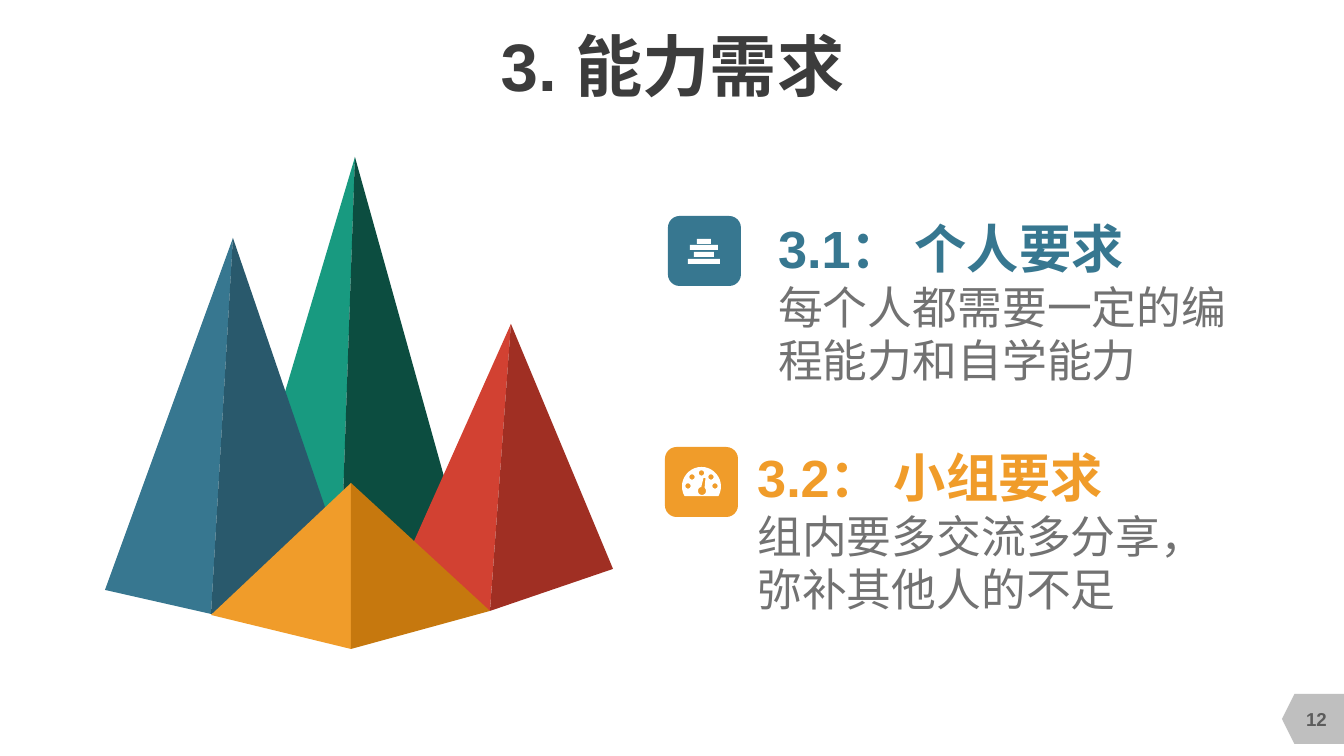
"""Build the ability requirements slide with its four pyramids."""
from dataclasses import dataclass
from math import cos, radians, sin

from pptx import Presentation
from pptx.dml.color import RGBColor
from pptx.enum.shapes import MSO_SHAPE
from pptx.enum.text import MSO_ANCHOR, MSO_AUTO_SIZE, PP_ALIGN
from pptx.util import Emu, Pt

PX = 914400 / 134.4
FINE = 10
FONT = "Arial"
WHITE, GREY, BODY, DARK = "FFFFFF", "BFBFBF", "727272", "3C3C3C"
BLUE, ORANGE = "377790", "F09C2A"
CENTER, LEFT = PP_ALIGN.CENTER, PP_ALIGN.LEFT
MIDDLE = MSO_ANCHOR.MIDDLE
NO_FIT, GROW = MSO_AUTO_SIZE.NONE, MSO_AUTO_SIZE.SHAPE_TO_FIT_TEXT
ROUNDED, TAG = MSO_SHAPE.ROUNDED_RECTANGLE, MSO_SHAPE.FLOWCHART_OFFPAGE_CONNECTOR

Point = tuple[float, float]
Contour = list[Point]


@dataclass
class Pyramid:
    """Two triangular faces that share the edge from peak to foot."""
    peak: Point
    foot: Point
    left: Point
    right: Point
    light: str
    shade: str


@dataclass
class Requirement:
    """A badge with an icon beside a heading and its description."""
    badge: Point
    text_box: tuple[int, int, int, int]
    color: str
    heading: str
    description: str
    icon: list[Contour]


def px(value: float) -> Emu:
    """Turn pixels into EMU."""
    return Emu(round(value * PX))


def rgb(color: str) -> RGBColor:
    """Turn a hex string into a colour."""
    return RGBColor.from_string(color)


def arc(x: float, y: float, radius: float, start: int = 0, end: int = 360) -> Contour:
    """Return points along a circle, angles running clockwise from the right."""
    return [(x + radius * cos(radians(angle)), y + radius * sin(radians(angle)))
            for angle in range(start, end + 1, 10)]


def bar(left: int, top: int, right: int, bottom: int) -> Contour:
    """Return the corners of a bar."""
    return [(left, top), (right, top), (right, bottom), (left, bottom)]


def paint(shape, color: str) -> None:
    """Give a shape a flat fill without line or shadow."""
    shape.fill.solid()
    shape.fill.fore_color.rgb = rgb(color)
    shape.line.fill.background()
    shape.shadow.inherit = False


def draw_outline(shapes, contours: list[Contour], color: str) -> None:
    """Draw closed contours as one freeform."""
    fine = [[(x * FINE, y * FINE) for x, y in contour] for contour in contours]
    builder = shapes.build_freeform(*fine[0][0], scale=PX / FINE)
    builder.add_line_segments(fine[0][1:], close=True)
    for contour in fine[1:]:
        builder.move_to(*contour[0])
        builder.add_line_segments(contour[1:], close=True)
    paint(builder.convert_to_shape(), color)


def draw_pyramid(page, pyramid: Pyramid) -> None:
    """Draw the light and the shaded face as a group."""
    group = page.shapes.add_group_shape()
    for side, color in ((pyramid.left, pyramid.light), (pyramid.right, pyramid.shade)):
        draw_outline(group.shapes, [[pyramid.peak, pyramid.foot, side]], color)


def write(para, text: str, size: int, color: str, bold: bool, align=LEFT) -> None:
    """Fill and format a paragraph."""
    para.text = text
    para.alignment = align
    para.font.name = FONT
    para.font.size = Pt(size)
    para.font.bold = bold
    para.font.color.rgb = rgb(color)


def add_text_box(page, left: int, top: int, width: int, height: int):
    """Add a wrapping text box and return its text frame."""
    frame = page.shapes.add_textbox(px(left), px(top), px(width), px(height)).text_frame
    frame.word_wrap = True
    return frame


def draw_requirement(page, item: Requirement) -> None:
    """Draw the badge, its icon and the text."""
    group = page.shapes.add_group_shape()
    left, top = item.badge
    badge = group.shapes.add_shape(ROUNDED, px(left), px(top), px(73), px(70))
    paint(badge, item.color)
    draw_outline(group.shapes, item.icon, WHITE)
    frame = add_text_box(page, *item.text_box)
    frame.auto_size = GROW
    write(frame.paragraphs[0], item.heading, 28, item.color, True)
    write(frame.add_paragraph(), item.description, 24, BODY, False)


def draw_title(page, text: str) -> None:
    """Place and format the title."""
    title = page.shapes.title
    title.left, title.top, title.width, title.height = px(258), px(39), px(829), px(52)
    frame = title.text_frame
    frame.margin_left = frame.margin_top = frame.margin_right = frame.margin_bottom = 0
    frame.vertical_anchor = MIDDLE
    frame.word_wrap = False
    frame.auto_size = NO_FIT
    write(frame.paragraphs[0], text, 36, DARK, True, CENTER)


def draw_page_number(page, number: str) -> None:
    """Draw the tag at the right edge with the page number."""
    tag = page.shapes.add_shape(TAG, px(1288), px(688), px(50), px(62))
    tag.rotation = 90
    paint(tag, GREY)
    frame = add_text_box(page, 1283, 699, 67, 41)
    frame.vertical_anchor = MIDDLE
    write(frame.paragraphs[0], number, 10, "5C5C5C", True, CENTER)


PYRAMIDS = [
    Pyramid((355, 157), (339, 614), (285, 392), (472, 577), "189A80", "0C4D40"),
    Pyramid((511, 324), (490, 611), (391, 593), (613, 569), "D24132", "A02F23"),
    Pyramid((233, 238), (211, 614), (105, 590), (351, 583), BLUE, "29596C"),
    Pyramid((351, 483), (351, 649), (211, 615), (490, 611), ORANGE, "C6780E"),
]
BARS = [bar(704 - half, top, 704 + half, top + 5)
        for half, top in ((16, 259), (10, 252), (14, 245), (7, 239))]
GAUGE = [
    arc(701.5, 486.5, 19.5, 150, 390),
    *(arc(x, y, 2.6) for x, y in ((688, 486), (692, 477), (701.5, 473), (711, 477), (715, 486))),
    arc(702, 491, 4, -50, 260) + [(703.5, 478), (705.5, 478)],
]
REQUIREMENTS = [
    Requirement((668, 216), (765, 210, 518, 185), BLUE, "3.1： 个人要求",
                "每个人都需要一定的编程能力和自学能力", BARS),
    Requirement((665, 447), (744, 439, 477, 185), ORANGE, "3.2： 小组要求",
                "组内要多交流多分享，弥补其他人的不足", GAUGE),
]


def main() -> None:
    """Build and save the deck."""
    deck = Presentation()
    deck.slide_width, deck.slide_height = px(1344), px(756)
    page = deck.slides.add_slide(deck.slide_layouts[5])
    draw_title(page, "3. 能力需求")
    for pyramid in PYRAMIDS:
        draw_pyramid(page, pyramid)
    draw_page_number(page, "12")
    for item in REQUIREMENTS:
        draw_requirement(page, item)
    deck.save("out.pptx")


if __name__ == "__main__":
    main()
